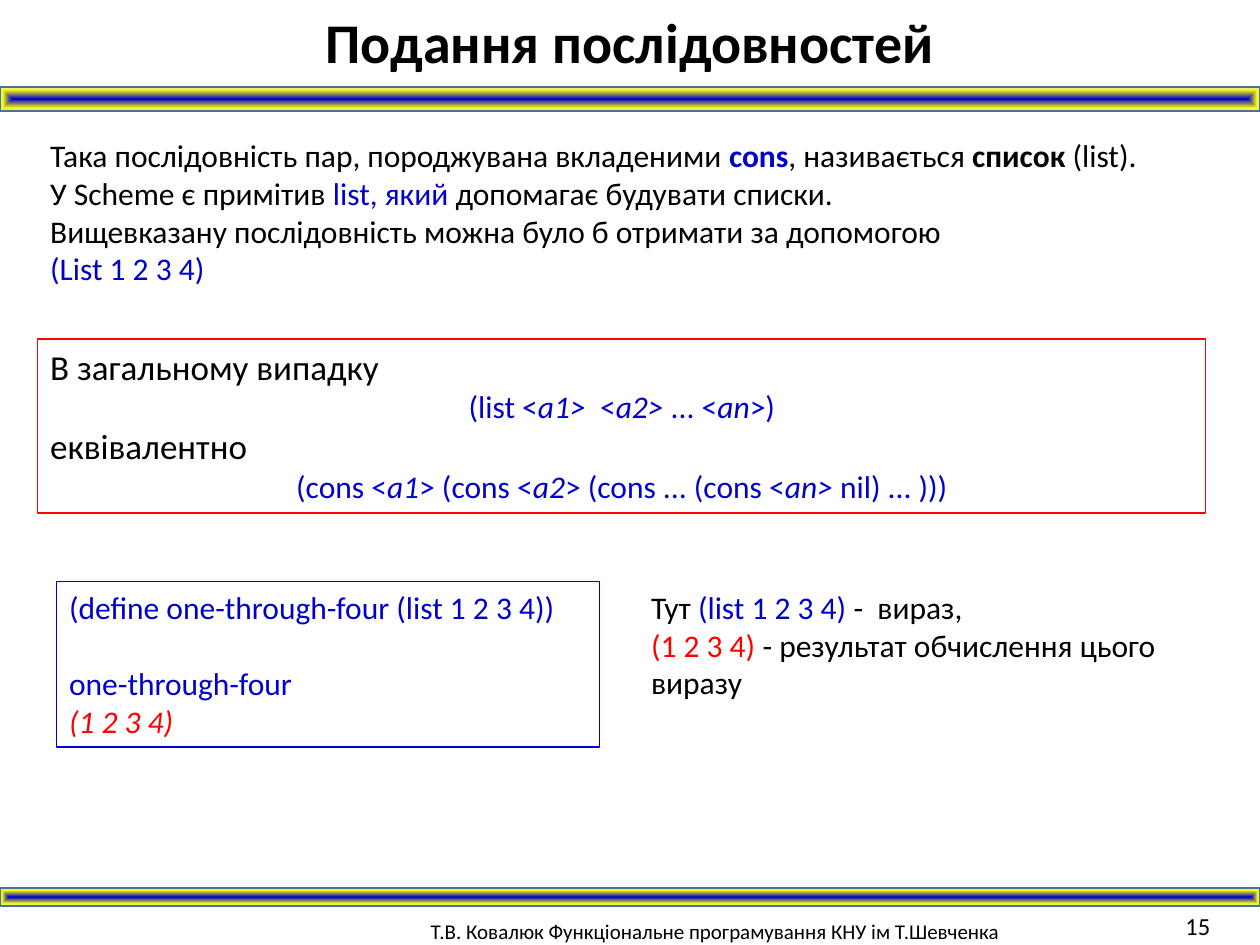
from dataclasses import dataclass
from typing import NamedTuple

from lxml import etree
from pptx import Presentation
from pptx.dml.color import RGBColor
from pptx.enum.shapes import MSO_SHAPE
from pptx.enum.text import MSO_ANCHOR, PP_ALIGN
from pptx.oxml import parse_xml
from pptx.util import Pt

RECT = MSO_SHAPE.RECTANGLE
TOP, MIDDLE = MSO_ANCHOR.TOP, MSO_ANCHOR.MIDDLE
LEFT, CENTER = PP_ALIGN.LEFT, PP_ALIGN.CENTER
FONT = "Calibri"
DML = "http://schemas.openxmlformats.org/drawingml/2006/main"
COLORS = {
    "black": "000000",
    "blue": "0000CC",
    "red": "FF0000",
    "yellow": "FFFF00",
    "pale": "CEE1F2",
    "edge": "43739E",
}
BAND_STOPS = [(0, "blue"), (77, "yellow"), (100, "pale")]
SLIDE_W, SLIDE_H = 720, 540


class Run(NamedTuple):
    text: str
    color: str = "black"
    bold: bool = False
    italic: bool = False


class Para(NamedTuple):
    runs: list[Run]
    size: float = 18
    align: PP_ALIGN = LEFT
    before: float = 0


class Band(NamedTuple):
    top: float
    height: float


@dataclass
class TextBlock:
    left: float
    top: float
    width: float
    height: float
    paras: list[Para]
    border: str = ""
    anchor: MSO_ANCHOR = TOP


def rgb(name: str) -> RGBColor:
    return RGBColor.from_string(COLORS[name])


def code(text: str) -> Run:
    return Run(text, "blue")


def arg(text: str) -> Run:
    return Run(text, "blue", italic=True)


def gradient_xml() -> str:
    stops = "".join(
        f'<a:gs pos="{pos * 1000}"><a:srgbClr val="{COLORS[name]}"/></a:gs>'
        for pos, name in BAND_STOPS
    )
    return (
        f'<a:gradFill xmlns:a="{DML}" rotWithShape="1"><a:gsLst>{stops}</a:gsLst>'
        '<a:path path="shape"><a:fillToRect l="50000" t="50000" r="50000" b="50000"/>'
        "</a:path></a:gradFill>"
    )


def draw_band(s, band: Band) -> None:
    sp = s.shapes.add_shape(RECT, 0, Pt(band.top), Pt(SLIDE_W), Pt(band.height))
    sp.shadow.inherit = False
    sp.line.color.rgb = rgb("edge")
    sp.line.width = Pt(1)
    sp.fill.gradient()
    old = sp.element.spPr.find(etree.QName(DML, "gradFill"))
    sp.element.spPr.replace(old, parse_xml(gradient_xml()))


def draw_text(s, block: TextBlock) -> None:
    box = [Pt(v) for v in (block.left, block.top, block.width, block.height)]
    if block.border:
        sp = s.shapes.add_shape(RECT, *box)
        sp.shadow.inherit = False
        sp.fill.background()
        sp.line.color.rgb = rgb(block.border)
        sp.line.width = Pt(0.75)
    else:
        sp = s.shapes.add_textbox(*box)
    tf = sp.text_frame
    tf.word_wrap = True
    tf.vertical_anchor = block.anchor
    for i, para in enumerate(block.paras):
        p = tf.add_paragraph() if i else tf.paragraphs[0]
        p.alignment = para.align
        p.space_before = Pt(para.before)
        for run in para.runs:
            r = p.add_run()
            r.text = run.text
            r.font.name = FONT
            r.font.size = Pt(para.size)
            r.font.bold = run.bold
            r.font.italic = run.italic
            r.font.color.rgb = rgb(run.color)


BANDS = [Band(49.7, 13.7), Band(507.6, 10)]

TITLE = TextBlock(0, 0.7, SLIDE_W, 46, [
    Para([Run("Подання послідовностей", bold=True)], 32, CENTER),
])
INTRO = TextBlock(21.6, 74.2, 687, 94.3, [
    Para([
        Run("Така послідовність пар, породжувана вкладеними "),
        Run("cons", "blue", bold=True),
        Run(", називається "),
        Run("список", bold=True),
        Run(" (list)."),
    ]),
    Para([
        Run("У Scheme є примітив "),
        code("list, який "),
        Run("допомагає будувати списки."),
    ]),
    Para([Run("Вищевказану послідовність можна було б отримати за допомогою")]),
    Para([code("(List 1 2 3 4)")]),
])
GENERAL_CASE = TextBlock(21.6, 193.7, 667.5, 99.4, [
    Para([Run("В загальному випадку")], 20),
    Para([
        code("(list <"), arg("a1> "), code(" <"), arg("a2>"),
        code(" ... <"), arg("an"), code(">)"),
    ], align=CENTER),
    Para([Run("еквівалентно")], 20),
    Para([
        code("(cons <"), arg("a1"), code("> (cons <"), arg("a2"),
        code("> (cons ... (cons <"), arg("an>"), code(" nil) ... )))"),
    ], align=CENTER),
], border="red")
EXAMPLE = TextBlock(32.4, 332.4, 310.3, 94.5, [
    Para([code("(define one-through-four (list 1 2 3 4))")]),
    Para([code("one-through-four")], before=22),
    Para([Run("(1 2 3 4)", "red", italic=True)]),
], border="blue")
EXPLANATION = TextBlock(365, 332.4, 343.4, 72.7, [
    Para([Run("Тут "), code("(list 1 2 3 4) "), Run("-  вираз,")]),
    Para([Run("(1 2 3 4) ", "red"), Run("- результат обчислення цього виразу")]),
])
FOOTER = TextBlock(239, 520.6, 432, 23, [
    Para([Run("Т.В. Ковалюк Функціональне програмування КНУ ім Т.Шевченка")], 12),
], anchor=MIDDLE)
PAGE_NUMBER = TextBlock(670.3, 517, 49.7, 23, [Para([Run("15")], 14)])


def main() -> None:
    prs = Presentation()
    prs.slide_width, prs.slide_height = Pt(SLIDE_W), Pt(SLIDE_H)
    s = prs.slides.add_slide(prs.slide_layouts[6])
    for band in BANDS:
        draw_band(s, band)
    for block in (FOOTER, PAGE_NUMBER, INTRO, GENERAL_CASE, EXAMPLE, EXPLANATION, TITLE):
        draw_text(s, block)
    prs.save("out.pptx")


if __name__ == "__main__":
    main()
